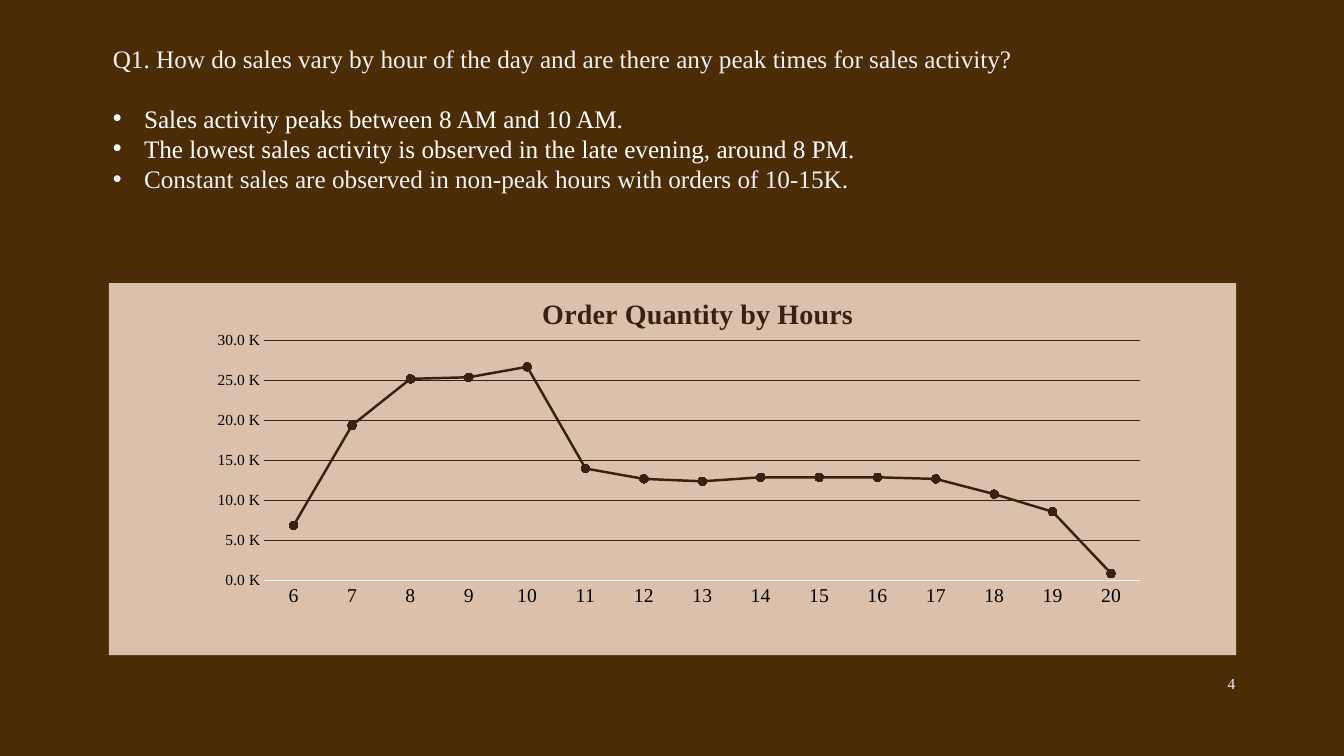
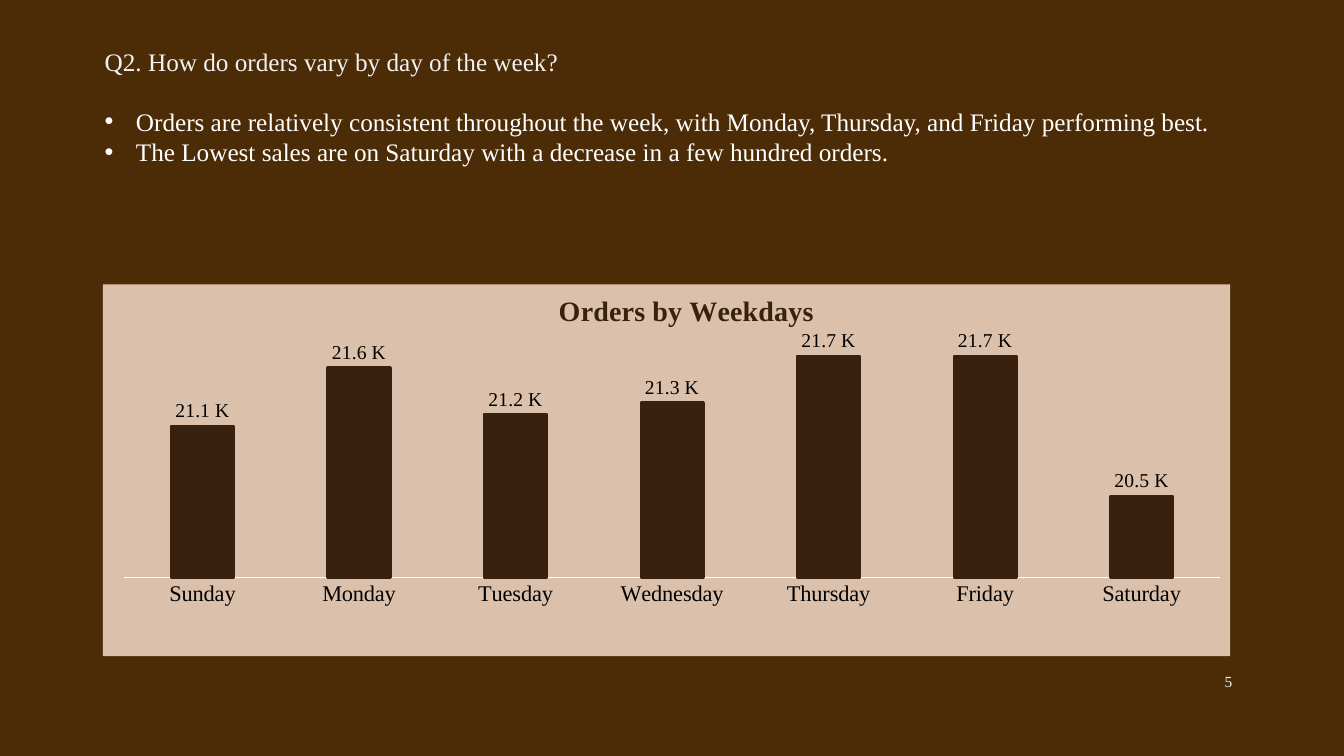
"""Build two sales analysis slides, each with a question, its findings and a chart."""
from lxml import etree
from pptx import Presentation
from pptx.chart.data import CategoryChartData
from pptx.dml.color import RGBColor
from pptx.enum.chart import XL_CHART_TYPE as ChartType, XL_LABEL_POSITION as LabelPosition
from pptx.enum.chart import XL_MARKER_STYLE as MarkerStyle, XL_TICK_MARK as TickMark
from pptx.enum.text import MSO_ANCHOR as Anchor, MSO_AUTO_SIZE as AutoSize, PP_ALIGN as Align
from pptx.oxml.ns import qn
from pptx.util import Inches, Pt

COFFEE = RGBColor(0x4C, 0x2C, 0x06)
LATTE = RGBColor(0xDB, 0xC1, 0xAC)
ESPRESSO = RGBColor(0x38, 0x22, 0x0F)
WHITE = RGBColor(0xFF, 0xFF, 0xFF)
OFF_WHITE = RGBColor(0xF2, 0xF2, 0xF2)
BLACK = RGBColor(0, 0, 0)
FONT = "Times New Roman"
THOUSANDS = '##,##0.0,\\ "K"'

SLIDES = [
    {
        "question": "Q1. How do sales vary by hour of the day and are there any peak times for sales activity?",
        "findings": [
            ("Sales activity peaks between 8 AM and 10 AM.", WHITE),
            ("The lowest sales activity is observed in the late evening, around 8 PM.", WHITE),
            ("Constant sales are observed in non-peak hours with orders of 10-15K.", OFF_WHITE),
        ],
        "text_box": (1.02, 0.38, 11.49, 1.62),
        "chart_type": ChartType.LINE_MARKERS,
        "chart_box": (1.08, 2.81, 11.18, 3.69),
        "title": "Order Quantity by Hours",
        "title_at": {"x": 0.38, "y": 0.02},
        "plot": {"x": 0.138, "y": 0.154, "w": 0.777, "h": 0.646},
        "categories": [str(hour) for hour in range(6, 21)],
        "values": [6900, 19400, 25200, 25400, 26700, 14000, 12700, 12400,
                   12900, 12900, 12900, 12700, 10800, 8600, 900],
        "category_size": 14,
        "scale": {"minimum_scale": 0, "maximum_scale": 30000, "major_unit": 5000},
        "number": ("4", 11.53, 6.58),
    },
    {
        "question": "Q2. How do orders vary by day of the week?",
        "findings": [
            ("Orders are relatively consistent throughout the week, with Monday, Thursday, "
             "and Friday performing best.", WHITE),
            ("The Lowest sales are on Saturday with a decrease in a few hundred orders.", WHITE),
        ],
        "text_box": (0.94, 0.41, 11.55, 1.31),
        "chart_type": ChartType.COLUMN_CLUSTERED,
        "chart_box": (1.02, 2.82, 11.18, 3.69),
        "title": "Orders by Weekdays",
        "title_at": {"x": 0.4, "y": 0.01},
        "plot": {"x": 0.019, "y": 0.161, "w": 0.972, "h": 0.628},
        "categories": ["Sunday", "Monday", "Tuesday", "Wednesday", "Thursday", "Friday", "Saturday"],
        "values": [21100, 21600, 21200, 21300, 21700, 21700, 20500],
        "category_size": 16,
        "scale": {"minimum_scale": 19800, "maximum_scale": 21800},
        "number": ("5", 11.5, 6.56),
    },
]


def set_font(font, size, color, bold=False):
    for name, value in {"name": FONT, "size": Pt(size), "bold": bold}.items():
        setattr(font, name, value)
    font.color.rgb = color


def manual_layout(parent, box, target=None):
    for old in parent.findall(qn("c:layout")):
        parent.remove(old)
    layout = etree.Element(qn("c:layout"))
    manual = etree.SubElement(layout, qn("c:manualLayout"))
    settings = {"layoutTarget": target} if target else {}
    settings.update({"xMode": "edge", "yMode": "edge"}, **box)
    for tag, value in settings.items():
        etree.SubElement(manual, qn(f"c:{tag}")).set("val", str(value))
    parent.insert(0 if target else 1, layout)


prs = Presentation()
prs.slide_width, prs.slide_height = Inches(13.33), Inches(7.5)
master_fill = prs.slide_master.background.fill
master_fill.solid()
master_fill.fore_color.rgb = COFFEE

for content in SLIDES:
    slide = prs.slides.add_slide(prs.slide_layouts[6])

    answer = slide.shapes.add_textbox(*map(Inches, content["text_box"])).text_frame
    answer.word_wrap = True
    answer.auto_size = AutoSize.SHAPE_TO_FIT_TEXT
    question = answer.paragraphs[0]
    question.text = content["question"]
    question.space_after = Pt(21)
    set_font(question.runs[0].font, 18, OFF_WHITE)
    for text, color in content["findings"]:
        finding = answer.add_paragraph()
        finding.text = text
        set_font(finding.runs[0].font, 18, color)
        properties = finding._p.get_or_add_pPr()
        properties.set("marL", str(Inches(0.31)))
        properties.set("indent", str(-Inches(0.31)))
        etree.SubElement(properties, qn("a:buFont")).set("typeface", "Arial")
        etree.SubElement(properties, qn("a:buChar")).set("char", "•")

    data = CategoryChartData(number_format=THOUSANDS)
    data.categories = content["categories"]
    data.add_series("Series 1", content["values"])
    chart = slide.shapes.add_chart(
        content["chart_type"], *map(Inches, content["chart_box"]), data).chart
    chart.has_legend = False
    set_font(chart.font, 10, WHITE)
    panel = etree.Element(qn("c:spPr"))
    panel_fill = etree.SubElement(panel, qn("a:solidFill"))
    etree.SubElement(panel_fill, qn("a:srgbClr")).set("val", str(LATTE))
    etree.SubElement(etree.SubElement(panel, qn("a:ln")), qn("a:noFill"))
    chart._chartSpace.find(qn("c:txPr")).addprevious(panel)

    title = chart.chart_title
    title.text_frame.text = content["title"]
    title.include_in_layout = False
    set_font(title.text_frame.paragraphs[0].runs[0].font, 20, ESPRESSO, bold=True)
    manual_layout(title._element, content["title_at"])
    manual_layout(chart._chartSpace.chart.plotArea, content["plot"], "inner")

    categories, amounts = chart.category_axis, chart.value_axis
    for axis in (categories, amounts):
        axis.major_tick_mark = axis.minor_tick_mark = TickMark.NONE
    set_font(categories.tick_labels.font, content["category_size"], BLACK)
    categories.format.line.color.rgb = WHITE
    categories.format.line.width = Pt(0.75)
    for name, value in content["scale"].items():
        setattr(amounts, name, value)
    amounts.tick_labels.number_format = THOUSANDS
    amounts.tick_labels.number_format_is_linked = False

    plot = chart.plots[0]
    plot.vary_by_categories = False
    series = plot.series[0]
    series.format.line.color.rgb = ESPRESSO
    series.format.line.width = Pt(1.75)
    if content["chart_type"] == ChartType.LINE_MARKERS:
        set_font(amounts.tick_labels.font, 11, BLACK)
        amounts.format.line.fill.background()
        amounts.major_gridlines.format.line.color.rgb = ESPRESSO
        amounts.major_gridlines.format.line.width = Pt(0.75)
        series.smooth = False
        series.marker.style = MarkerStyle.CIRCLE
        series.marker.size = 6
        filled, outline = series.marker.format.fill, series.marker.format.line
        outline.color.rgb = ESPRESSO
    else:
        amounts.visible = False
        amounts.has_major_gridlines = False
        plot.gap_width = 150
        filled = series.format.fill
        labels = series.data_labels
        labels.show_value = True
        labels.position = LabelPosition.OUTSIDE_END
        labels.number_format = THOUSANDS
        labels.number_format_is_linked = False
        set_font(labels.font, 14, BLACK)
    filled.solid()
    filled.fore_color.rgb = ESPRESSO

    number, left, top = content["number"]
    footer = slide.shapes.add_textbox(Inches(left), Inches(top), Inches(0.82), Inches(0.4)).text_frame
    footer.word_wrap = True
    footer.vertical_anchor = Anchor.MIDDLE
    footer.text = number
    footer.paragraphs[0].alignment = Align.RIGHT
    set_font(footer.paragraphs[0].runs[0].font, 11, OFF_WHITE)

prs.save("out.pptx")
